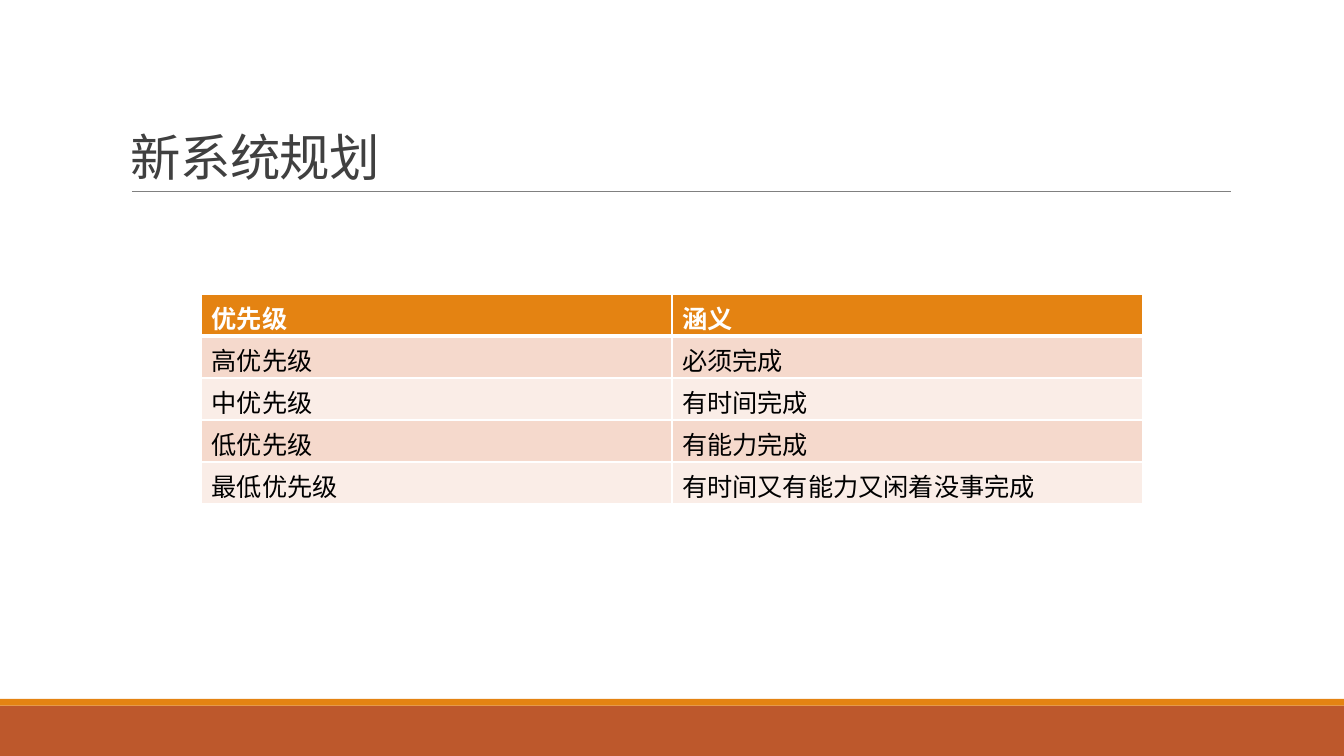
from lxml.etree import SubElement
from pptx import Presentation
from pptx.dml.color import RGBColor
from pptx.enum.shapes import MSO_CONNECTOR, MSO_SHAPE
from pptx.enum.text import MSO_ANCHOR
from pptx.oxml.ns import qn
from pptx.util import Inches, Pt

RUST = RGBColor(0xBD, 0x58, 0x2C)
ORANGE = RGBColor(0xE4, 0x83, 0x12)
GRAY = RGBColor(0x80, 0x80, 0x80)
CHARCOAL = RGBColor(0x40, 0x40, 0x40)
WHITE = RGBColor(0xFF, 0xFF, 0xFF)
BLACK = RGBColor(0, 0, 0)
BANDS = (RGBColor(0xF5, 0xD9, 0xCC), RGBColor(0xFA, 0xED, 0xE7))

COLUMNS, ROWS = 160, 90
UNIT = Inches(1) // 12

PRIORITIES = (
    ("优先级", "涵义"),
    ("高优先级", "必须完成"),
    ("中优先级", "有时间完成"),
    ("低优先级", "有能力完成"),
    ("最低优先级", "有时间又有能力又闲着没事完成"),
)


class SlideBuilder:
    """Places elements on a grid of 160 columns by 90 rows."""

    title_font = "Arial"
    body_font = "Calibri"

    def __init__(self, slide):
        self.slide = slide
        self.shapes = slide.shapes

    def grid(self, *cells):
        return [round(cell * UNIT) for cell in cells]

    def add_run(self, paragraph, text, font_name, size, color, bold=False):
        run = paragraph.add_run()
        run.text = text
        run.font.name = font_name
        run.font.size = Pt(size)
        run.font.color.rgb = color
        run.font.bold = bold
        return run

    def band(self, top, height, color):
        stripe = self.shapes.add_shape(
            MSO_SHAPE.RECTANGLE, *self.grid(0, top, COLUMNS, height))
        stripe.shadow.inherit = False
        stripe.fill.solid()
        stripe.fill.fore_color.rgb = color
        stripe.line.fill.background()

    def rule(self, left, right, row, color, width):
        divider = self.shapes.add_connector(
            MSO_CONNECTOR.STRAIGHT, *self.grid(left, row, right, row))
        divider.line.color.rgb = color
        divider.line.width = Pt(width)
        SubElement(divider._element.spPr, qn("a:effectLst"))

    def title(self, text, left, top, width, height):
        heading = self.shapes.add_textbox(*self.grid(left, top, width, height))
        frame = heading.text_frame
        frame.word_wrap = True
        frame.vertical_anchor = MSO_ANCHOR.BOTTOM
        paragraph = frame.paragraphs[0]
        paragraph.line_spacing = 1.25
        run = self.add_run(paragraph, text, self.title_font, 36, CHARCOAL)
        run.font._element.set("spc", "-50")

    def border(self, cell, side, width):
        edge = SubElement(cell._tc.get_or_add_tcPr(), qn(f"a:ln{side}"),
                          w=str(Pt(width)))
        paint = SubElement(edge, qn("a:solidFill"))
        SubElement(paint, qn("a:srgbClr"), val=str(WHITE))

    def table(self, records, left, top, width, row_height):
        frame = self.shapes.add_table(
            len(records), len(records[0]),
            *self.grid(left, top, width, row_height * len(records)))
        for row, record in enumerate(records):
            header = row == 0
            thick_side = {0: "B", 1: "T"}.get(row)
            for column, text in enumerate(record):
                cell = frame.table.cell(row, column)
                for side in "LRTB":
                    self.border(cell, side, 3 if side == thick_side else 1)
                cell.fill.solid()
                cell.fill.fore_color.rgb = ORANGE if header else BANDS[(row - 1) % 2]
                self.add_run(cell.text_frame.paragraphs[0], text, self.body_font,
                             18, WHITE if header else BLACK, bold=header)


def main():
    deck = Presentation()
    deck.slide_width = COLUMNS * UNIT
    deck.slide_height = ROWS * UNIT
    plan = SlideBuilder(deck.slides.add_slide(deck.slide_layouts[6]))
    plan.band(84, 6, RUST)
    plan.band(83.2, 0.8, ORANGE)
    plan.rule(15.7, 146.5, 22.8, GRAY, 0.5)
    plan.title("新系统规划", 14.4, 3.7, 132, 19.1)
    plan.table(PRIORITIES, 24, 35, 112, 5)
    deck.save("out.pptx")


if __name__ == "__main__":
    main()
